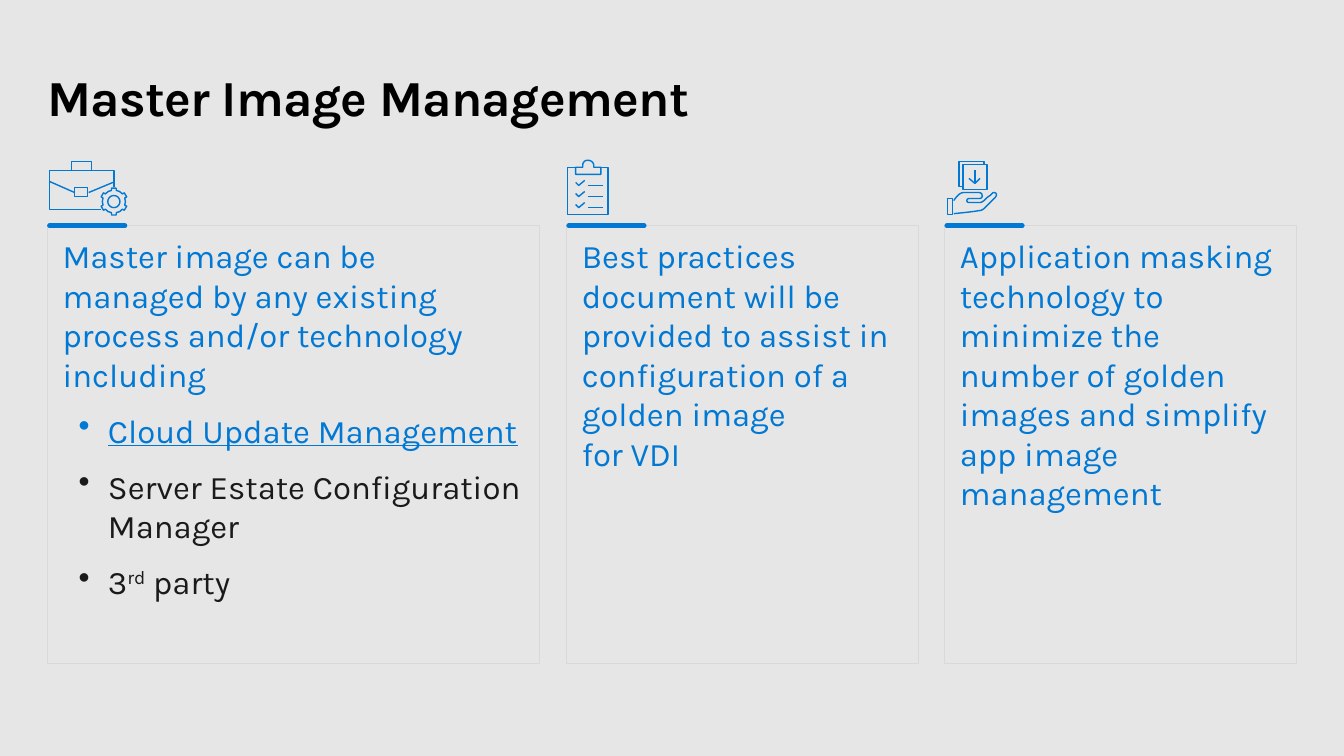
import math
from dataclasses import dataclass

import pptx
import pptx.dml.color
import pptx.enum.shapes
import pptx.enum.text
import pptx.oxml
import pptx.oxml.ns
import pptx.util
from pptx.util import Inches


@dataclass(frozen=True)
class Theme:
    font: str = "Karla"
    background: str = "E6E6E6"
    title: str = "000000"
    accent: str = "0078D4"
    text: str = "1A1A1A"
    border: str = "D9D9D9"
    title_size: float = 36
    body_size: float = 23.5
    gap: float = 5.9


THEME = Theme()
CARD_TOP, CARD_HEIGHT = 2.24, 4.34
BULLET_MARGIN, BULLET_HANG = 0.45, -0.29
CLOUD_TOOL = "Cloud Update Management"
COLUMNS = [
    (0.47, 4.88, "Master image can be managed by any existing process and/or technology including",
     [[CLOUD_TOOL], ["Server Estate Configuration Manager"], ["3", "rd", " party"]]),
    (5.62, 3.49, "Best practices document will be provided to assist in configuration "
                 "of a golden image \vfor VDI", []),
    (9.37, 3.49, "Application masking technology to minimize the number of golden images "
                 "and simplify app image management", []),
]


def rgb(value):
    return pptx.dml.color.RGBColor.from_string(value)


def format_span(span, size, color, bold=False):
    span.font.name = THEME.font
    span.font.size = pptx.util.Pt(size)
    span.font.color.rgb = rgb(color)
    span.font.bold = bold


def set_insets(frame, left, top, right, bottom):
    frame.margin_left, frame.margin_top = Inches(left), Inches(top)
    frame.margin_right, frame.margin_bottom = Inches(right), Inches(bottom)
    frame.word_wrap = True
    frame.vertical_anchor = pptx.enum.text.MSO_ANCHOR.TOP


def style_outline(shape, color, width):
    shape.shadow.inherit = False
    shape.fill.background()
    shape.line.color.rgb = rgb(color)
    shape.line.width = pptx.util.Pt(width)


def add_title(page, text):
    title = page.shapes.title
    title.left, title.top = Inches(0.47), Inches(0.48)
    title.width, title.height = Inches(12.4), Inches(0.83)
    frame = title.text_frame
    frame.text = text
    set_insets(frame, 0, 0.18, 0, 0)
    para = frame.paragraphs[0]
    para.alignment = pptx.enum.text.PP_ALIGN.LEFT
    format_span(para.runs[0], THEME.title_size, THEME.title, True)
    para.runs[0]._r.get_or_add_rPr().set("spc", "-50")


def add_bullet(frame, pieces):
    para = frame.add_paragraph()
    properties = para._p.get_or_add_pPr()
    properties.set("marL", str(Inches(BULLET_MARGIN)))
    properties.set("indent", str(Inches(BULLET_HANG)))
    mark = pptx.oxml.parse_xml(f'<a:buChar {pptx.oxml.ns.nsdecls("a")} char="•"/>')
    properties.append(mark)
    para.space_before = para.space_after = pptx.util.Pt(THEME.gap)
    para.alignment = pptx.enum.text.PP_ALIGN.LEFT
    for piece in pieces:
        span = para.add_run()
        span.text = piece
        linked = piece == CLOUD_TOOL
        format_span(span, THEME.body_size, THEME.accent if linked else THEME.text)
        span.font.underline = linked
        if piece == "rd":
            span._r.get_or_add_rPr().set("baseline", "30000")


def add_card(page, left, width, lead, bullets):
    box = page.shapes.add_shape(pptx.enum.shapes.MSO_SHAPE.RECTANGLE, Inches(left),
                                Inches(CARD_TOP), Inches(width), Inches(CARD_HEIGHT))
    style_outline(box, THEME.border, 0.5)
    frame = box.text_frame
    set_insets(frame, 0.15, 0.1, 0.15, 0.1)
    para = frame.paragraphs[0]
    para.text = lead
    para.alignment = pptx.enum.text.PP_ALIGN.LEFT
    para.space_after = pptx.util.Pt(THEME.gap)
    for span in para.runs:
        format_span(span, THEME.body_size, THEME.accent)
    for pieces in bullets:
        add_bullet(frame, pieces)


def add_accent(page, left):
    start = left + 0.02
    line = page.shapes.add_connector(pptx.enum.shapes.MSO_CONNECTOR.STRAIGHT, Inches(start),
                                     Inches(CARD_TOP), Inches(start + 0.75), Inches(CARD_TOP))
    line.line.color.rgb = rgb(THEME.accent)
    line.line.width = pptx.util.Pt(3.25)
    line.line._get_or_add_ln().set("cap", "rnd")
    effects = pptx.oxml.parse_xml(f'<a:effectLst {pptx.oxml.ns.nsdecls("a")}/>')
    line._element.spPr.append(effects)


def add_outline(page, strokes):
    builder = None
    for stroke in strokes:
        points = [(Inches(x), Inches(y)) for x, y in stroke]
        closed = points[0] == points[-1]
        if builder is None:
            builder = page.shapes.build_freeform(*points[0])
        else:
            builder.move_to(*points[0])
        builder.add_line_segments(points[1:-1] if closed else points[1:], close=closed)
    style_outline(builder.convert_to_shape(), THEME.accent, 1)


def rectangle(left, top, right, bottom):
    return [(left, top), (right, top), (right, bottom), (left, bottom), (left, top)]


def curve(points, steps=5):
    result = [points[0]]
    for index in range(0, len(points) - 1, 3):
        corners = points[index:index + 4]
        for step in range(1, steps + 1):
            t = step / steps
            weights = ((1 - t) ** 3, 3 * t * (1 - t) ** 2, 3 * t * t * (1 - t), t ** 3)
            result.append(tuple(sum(w * corner[axis] for w, corner in zip(weights, corners))
                                for axis in (0, 1)))
    return result


def polar(center, radius, degrees):
    angle = math.radians(degrees)
    return center[0] + radius * math.sin(angle), center[1] - radius * math.cos(angle)


def add_briefcase(page):
    add_outline(page, [
        [(0.91, 1.69), (0.91, 1.6), (0.71, 1.6), (0.71, 1.69)],
        [(1, 2.08), (0.49, 2.08), (0.49, 1.69), (1.13, 1.69), (1.13, 1.86)],
        rectangle(0.74, 1.86, 0.87, 1.95),
        [(0.74, 1.91), (0.49, 1.8)],
        [(1.12, 1.81), (0.88, 1.91)],
    ])
    center = (1.13, 2)
    tooth = [(0.113, -12), (0.135, -10), (0.135, 10), (0.113, 12), (0.115, 30)]
    gear = [polar(center, radius, 60 * turn + degrees)
            for turn in range(6) for radius, degrees in tooth]
    hub = [polar(center, 0.06, 15 * step) for step in range(24)]
    add_outline(page, [gear + gear[:1], hub + hub[:1]])


def add_checklist(page):
    dome = curve([(5.78, 1.64), (5.78, 1.61), (5.8, 1.59), (5.83, 1.59),
                  (5.86, 1.59), (5.89, 1.61), (5.89, 1.64)])
    clip = dome + [(5.89, 1.66), (5.96, 1.66), (5.96, 1.73), (5.71, 1.73),
                   (5.71, 1.66), (5.78, 1.66), (5.78, 1.64)]
    board = [(5.71, 1.66), (5.63, 1.66), (5.63, 2.13), (6.03, 2.13), (6.03, 1.66), (5.96, 1.66)]
    strokes = [clip, board]
    for row in range(3):
        level = 1.84 + 0.11 * row
        strokes.append([(5.83, level), (5.98, level)])
        strokes.append([(5.71, level - 0.03), (5.74, level), (5.8, level - 0.05)])
    add_outline(page, strokes)


def add_hand(page):
    add_outline(page, [rectangle(9.4, 1.97, 9.45, 2.13)])
    palm = curve([
        (9.46, 1.99), (9.46, 1.99), (9.48, 1.96), (9.5, 1.94), (9.52, 1.92), (9.54, 1.91),
        (9.56, 1.91), (9.61, 1.91), (9.66, 1.91), (9.71, 1.91), (9.72, 1.91), (9.74, 1.92),
        (9.74, 1.93), (9.75, 1.96), (9.73, 1.97), (9.71, 1.97), (9.68, 1.97), (9.65, 1.97),
        (9.61, 1.97), (9.6, 1.97), (9.59, 1.98), (9.59, 1.99), (9.59, 2), (9.6, 2.01),
        (9.61, 2.01), (9.65, 2.01), (9.68, 2.01), (9.72, 2.01), (9.73, 2.01), (9.75, 2),
        (9.76, 1.99), (9.78, 1.97), (9.8, 1.95), (9.82, 1.94), (9.83, 1.93), (9.84, 1.92),
        (9.85, 1.91), (9.86, 1.91), (9.87, 1.91), (9.88, 1.92), (9.89, 1.93), (9.88, 1.95),
        (9.87, 1.96), (9.85, 1.98), (9.83, 2), (9.81, 2.02), (9.8, 2.03), (9.78, 2.05),
        (9.76, 2.07), (9.75, 2.08), (9.73, 2.09), (9.71, 2.09), (9.67, 2.1), (9.46, 2.12),
        (9.46, 2.12)])
    add_outline(page, [palm])
    add_outline(page, [rectangle(9.55, 1.63, 9.79, 1.88)])
    add_outline(page, [[(9.55, 1.85), (9.51, 1.85), (9.51, 1.6), (9.76, 1.6), (9.76, 1.63)]])
    add_outline(page, [[(9.72, 1.77), (9.67, 1.82), (9.61, 1.77)], [(9.67, 1.81), (9.67, 1.69)]])


def main():
    deck = pptx.Presentation()
    deck.slide_width, deck.slide_height = Inches(13.33), Inches(7.5)
    page = deck.slides.add_slide(deck.slide_layouts[5])
    page.background.fill.solid()
    page.background.fill.fore_color.rgb = rgb(THEME.background)
    add_title(page, "Master Image Management")
    for left, width, lead, bullets in COLUMNS:
        add_card(page, left, width, lead, bullets)
        add_accent(page, left)
    add_checklist(page)
    add_hand(page)
    add_briefcase(page)
    deck.save("out.pptx")


if __name__ == "__main__":
    main()
